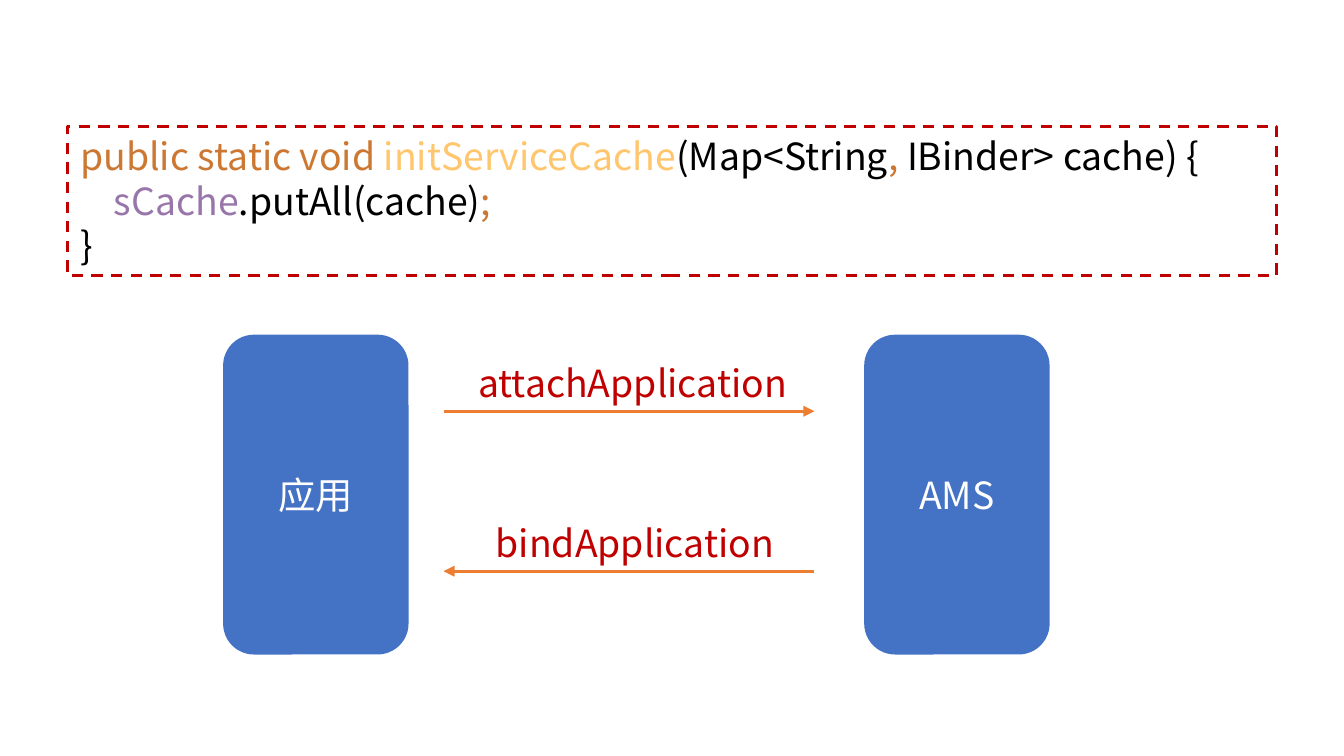
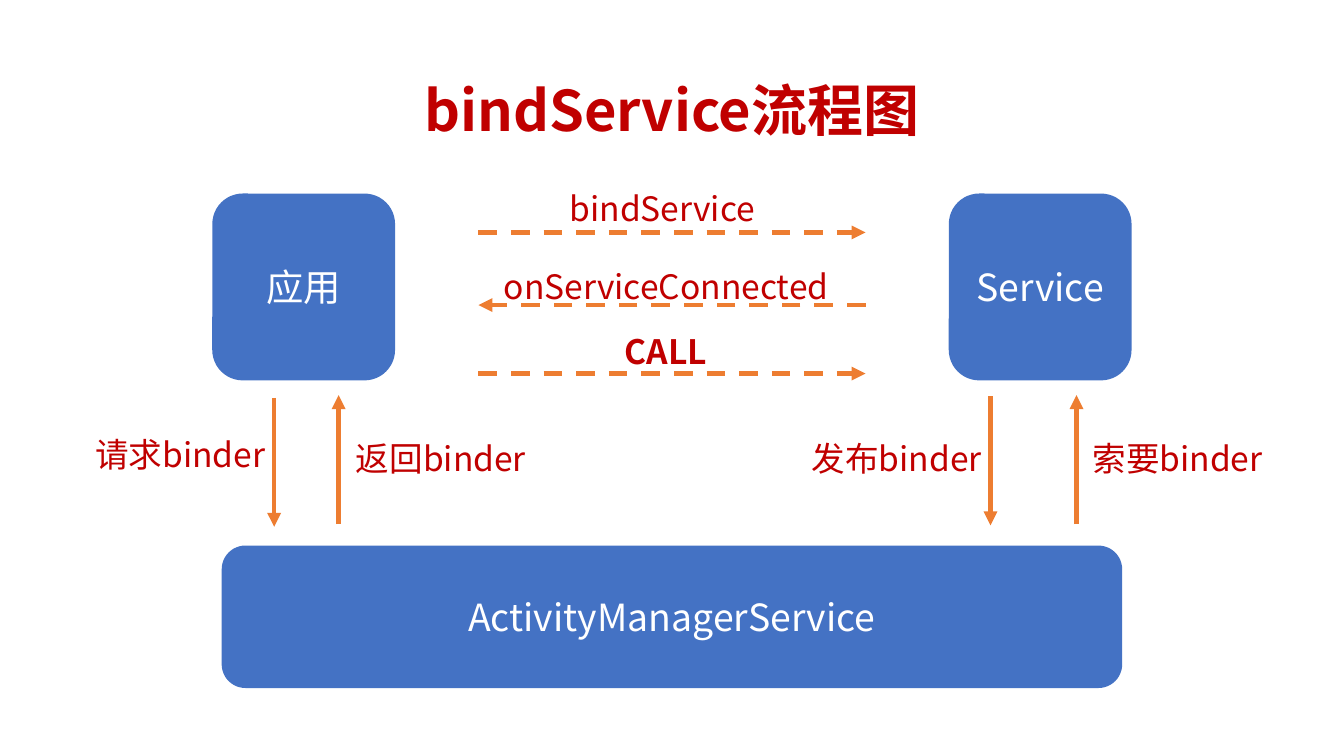
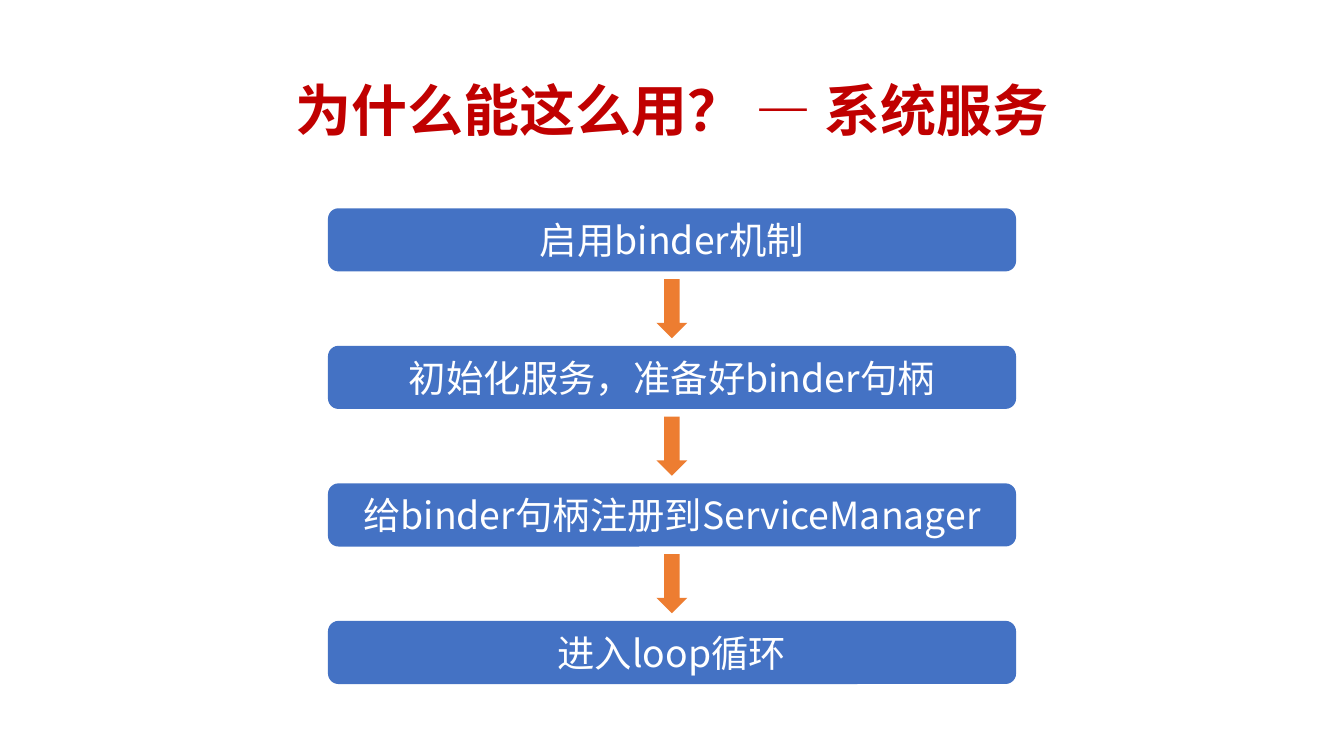
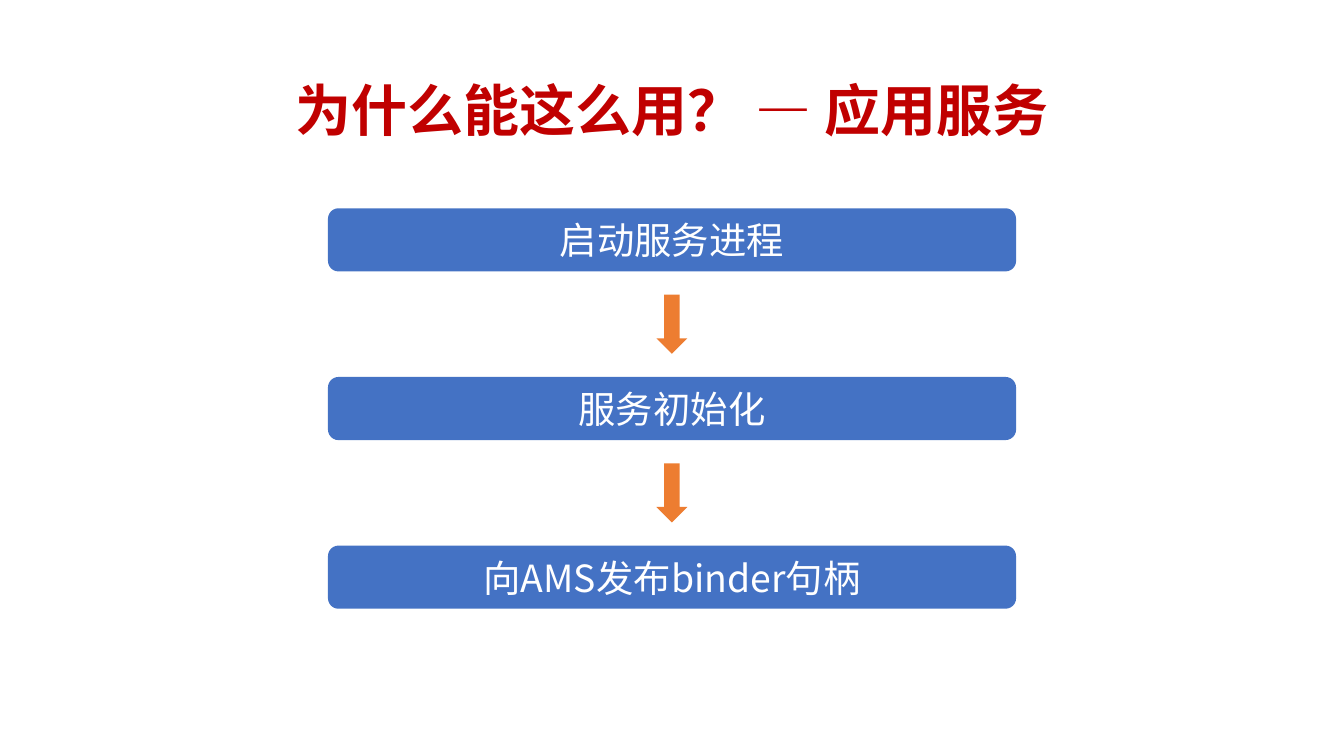
from pptx import Presentation
from pptx.dml.color import RGBColor
from pptx.enum.dml import MSO_LINE as Dash
from pptx.enum.shapes import MSO_CONNECTOR as Link, MSO_SHAPE as Form
from pptx.enum.text import MSO_ANCHOR as Anchor, MSO_AUTO_SIZE as Fit, PP_ALIGN as Align
from pptx.oxml.ns import qn
from pptx.util import Inches, Pt
from lxml.etree import SubElement

# Shared look
FONT = "Noto Sans CJK SC"
RED, BLUE, ORANGE, WHITE, BLACK = "C00000", "4472C4", "ED7D31", "FFFFFF", "000000"
KEY, NAME, FIELD = "CC7832", "FFC66D", "9876AA"
TITLE_ONLY, BLANK = 5, 6
WIDE = 10
HIGH = WIDE * 9 / 16


def rgb(code):
    return RGBColor.from_string(code)


def style(para, size, color, bold=False, align=Align.LEFT):
    """Set one font for a whole paragraph, East Asian glyphs included."""
    font = para.font
    font.size, font.bold, font.name = Pt(size), bold, FONT
    font.color.rgb = rgb(color)
    para.alignment = align
    props = para._p.pPr.find(qn("a:defRPr"))
    SubElement(props, qn("a:ea")).set("typeface", FONT)


def place(*at):
    return [Inches(value) for value in at]


def title(slide, text):
    head = slide.shapes.title
    head.left, head.top, head.width, head.height = place(0.69, 0.3, 8.62, 1.09)
    frame = head.text_frame
    frame.text, frame.vertical_anchor = text, Anchor.MIDDLE
    para = frame.paragraphs[0]
    style(para, 30, RED, True, Align.CENTER)
    para.line_spacing = 0.9


def block(slide, form, at, color, text=""):
    """Filled shape without outline, text centred."""
    shape = slide.shapes.add_shape(form, *place(*at))
    shape.shadow.inherit = False
    shape.fill.solid()
    shape.fill.fore_color.rgb = rgb(color)
    shape.line.fill.background()
    if text:
        frame = shape.text_frame
        frame.text, frame.vertical_anchor = text, Anchor.MIDDLE
        style(frame.paragraphs[0], 20, WHITE, align=Align.CENTER)


def box(slide, at, text):
    block(slide, Form.ROUNDED_RECTANGLE, at, BLUE, text)


def label(slide, at, text, size=18, bold=False, wrap=False, anchor=Anchor.TOP):
    frame = slide.shapes.add_textbox(*place(*at)).text_frame
    frame.text, frame.word_wrap = text, wrap
    frame.vertical_anchor = anchor
    frame.auto_size = Fit.SHAPE_TO_FIT_TEXT
    style(frame.paragraphs[0], size, RED, bold)


def arrow(slide, start, end, width=2.5, dash=False):
    line = slide.shapes.add_connector(Link.STRAIGHT, *place(*start, *end))
    line.line.color.rgb = rgb(ORANGE)
    line.line.width = Pt(width)
    if dash:
        line.line.dash_style = Dash.DASH
    props = line._element.spPr
    SubElement(props.find(qn("a:ln")), qn("a:tailEnd")).set("type", "triangle")
    SubElement(props, qn("a:effectLst"))


def code(slide, at, lines):
    """Dashed frame with coloured source code; lines are (indent, runs)."""
    shape = slide.shapes.add_shape(Form.RECTANGLE, *place(*at))
    shape.shadow.inherit = False
    shape.fill.background()
    shape.line.color.rgb = rgb(RED)
    shape.line.width, shape.line.dash_style = Pt(1.5), Dash.DASH
    frame = shape.text_frame
    frame.word_wrap, frame.vertical_anchor = True, Anchor.TOP
    frame.auto_size = Fit.SHAPE_TO_FIT_TEXT
    for row, (indent, runs) in enumerate(lines):
        para = frame.add_paragraph() if row else frame.paragraphs[0]
        style(para, 20, BLACK)
        para._p.pPr.set("marL", str(Inches(indent)))
        for text, color in runs:
            run = para.add_run()
            run.text = text
            run.font.color.rgb = rgb(color)


def chain(slide, steps, last):
    """Boxes stacked evenly down to last, an arrow centred in each gap."""
    first, wide, high = 1.55, 5.12, 0.47
    thick, tip = 0.23, 0.44
    pitch = (last - first) / (len(steps) - 1)
    gap = pitch - high
    tops = [first + row * pitch for row in range(len(steps))]
    for top, text in zip(tops, steps):
        box(slide, ((WIDE - wide) / 2, top, wide, high), text)
    for top in tops[1:]:
        at = ((WIDE - thick) / 2, top - (gap + tip) / 2, thick, tip)
        block(slide, Form.DOWN_ARROW, at, ORANGE)


def attach(slide):
    code(slide, (0.5, 0.94, 9, 1.11), [
        (0, [("public static void ", KEY), ("initServiceCache", NAME),
             ("(Map<String", BLACK), (", ", KEY), ("IBinder> cache) {", BLACK)]),
        (0.25, [("sCache", FIELD), (".putAll(cache)", BLACK), (";", KEY)]),
        (0, [("}", BLACK)]),
    ])
    for left, text in ((1.66, "应用"), (6.43, "AMS")):
        box(slide, (left, 2.49, 1.38, 2.38), text)
    calls = (
        (3.3, 6.06, 3.06, 3.46, 2.57, "attachApplication"),
        (6.06, 3.3, 4.25, 3.59, 2.34, "bindApplication"),
    )
    for start, end, y, left, wide, text in calls:
        arrow(slide, (start, y), (end, y), 1.5)
        label(slide, (left, y - 0.43, wide, 0.44), text, 20)


def bind(slide):
    title(slide, "bindService流程图")
    box(slide, (1.65, 4.06, 6.7, 1.06), "ActivityManagerService")
    for left, text in ((1.58, "应用"), (7.06, "Service")):
        box(slide, (left, 1.44, 1.36, 1.39), text)
    # Calls between application and service
    calls = (
        (3.56, 6.44, 1.73, (4.14, 1.35, 1.61, 0.4), "bindService", False),
        (6.44, 3.56, 2.27, (3.65, 1.93, 2.69, 0.4), "onServiceConnected", False),
        (3.56, 6.44, 2.78, (4.55, 2.41, 0.84, 0.4), "CALL", True),
    )
    for start, end, y, at, text, bold in calls:
        arrow(slide, (start, y), (end, y), dash=True)
        label(slide, at, text, bold=bold)
    # Binder traffic with the manager
    moves = (
        (2.04, 2.96, 3.92, 0.61, 3.18, "请求binder", Anchor.BOTTOM),
        (2.52, 3.9, 2.94, 2.55, 3.21, "返回binder", Anchor.TOP),
        (7.37, 2.95, 3.91, 5.94, 3.21, "发布binder", Anchor.TOP),
        (8.01, 3.9, 2.94, 8.03, 3.21, "索要binder", Anchor.TOP),
    )
    for x, start, end, left, top, text, anchor in moves:
        arrow(slide, (x, start), (x, end))
        label(slide, (left, top, 1.49, 0.4), text, wrap=True, anchor=anchor)


def system(slide):
    title(slide, "为什么能这么用？ — 系统服务")
    chain(slide, ("启用binder机制", "初始化服务，准备好binder句柄",
                  "给binder句柄注册到ServiceManager", "进入loop循环"), 4.62)


def custom(slide):
    title(slide, "为什么能这么用？ — 应用服务")
    chain(slide, ("启动服务进程", "服务初始化", "向AMS发布binder句柄"), 4.06)


def main():
    deck = Presentation()
    deck.slide_width, deck.slide_height = place(WIDE, HIGH)
    pages = ((attach, BLANK), (bind, TITLE_ONLY),
             (system, TITLE_ONLY), (custom, TITLE_ONLY))
    for draw, layout in pages:
        draw(deck.slides.add_slide(deck.slide_layouts[layout]))
    deck.save("out.pptx")


main()
